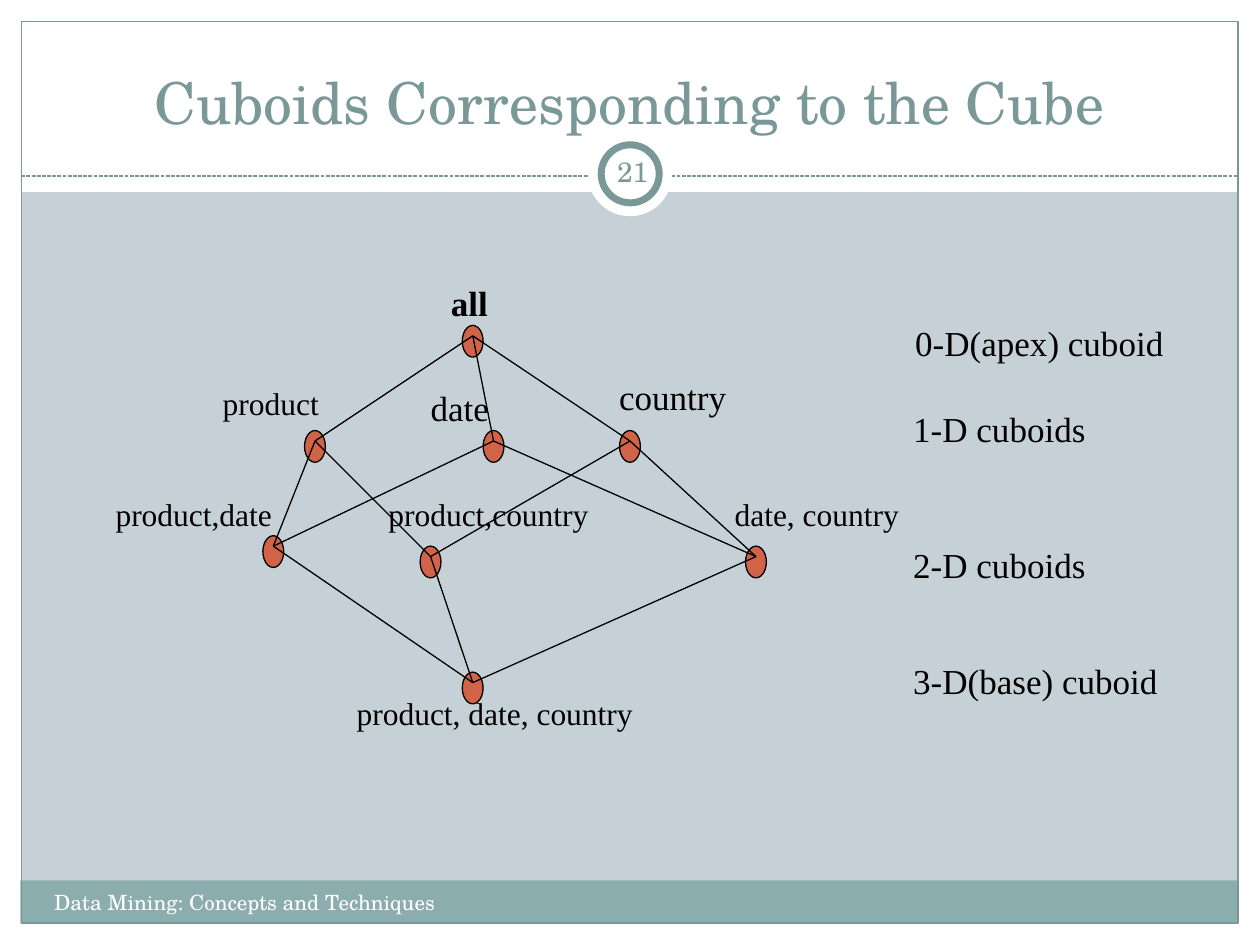
from pptx import Presentation
from pptx.dml.color import RGBColor
from pptx.enum.dml import MSO_LINE
from pptx.enum.shapes import MSO_CONNECTOR as Conn, MSO_SHAPE as Kind
from pptx.enum.text import MSO_ANCHOR as Anchor, MSO_AUTO_SIZE as Auto, PP_ALIGN as Align
from pptx.oxml.ns import qn
from pptx.util import Cm, Pt
from lxml.etree import SubElement

BACK = RGBColor(0xC5, 0xD1, 0xD7)
WHITE = RGBColor(0xFF, 0xFF, 0xFF)
TEAL = RGBColor(0x7B, 0x98, 0x99)
BAND = RGBColor(0x8C, 0xAD, 0xAE)
RUST = RGBColor(0xD1, 0x63, 0x49)
BLACK = RGBColor(0, 0, 0)

HEAD = "TeX Gyre Schola"
BODY = "Times New Roman"

# Each cuboid: its dimensions and the point where its edges meet (cm)
NODES = [
    ((), 9.53, 6.77),
    (("product",), 6.35, 8.89),
    (("date",), 9.95, 8.89),
    (("country",), 12.7, 8.89),
    (("product", "date"), 5.51, 11.01),
    (("date", "country"), 15.24, 11.22),
    (("product", "country"), 8.68, 11.22),
    (("product", "date", "country"), 9.53, 13.76),
]

# Text, left, top, width (cm), size (pt)
LABELS = [
    ("product", 4.24, 7.62, 2.48, 18),
    ("date", 8.43, 7.67, 1.72, 20),
    ("country", 12.23, 7.44, 2.71, 20),
    ("product,date", 2.08, 9.86, 3.7, 18),
    ("product,country", 7.58, 9.86, 4.59, 18),
    ("date, country", 14.56, 9.86, 3.87, 18),
    ("product, date, country", 6.94, 13.87, 6.13, 18),
    ("0-D(apex) cuboid", 18.2, 6.35, 5.55, 20),
    ("1-D cuboids", 18.16, 8.09, 4.03, 20),
    ("2-D cuboids", 18.16, 10.84, 4.03, 20),
    ("3-D(base) cuboid", 18.16, 13.17, 5.48, 20),
]


def style(font, color, **form):
    for key, value in form.items():
        setattr(font, key, value)
    font.color.rgb = color


def shape(slide, kind, box, fill=None, line=None, width=0.75):
    item = slide.shapes.add_shape(kind, *map(Cm, box))
    item.shadow.inherit = False
    if fill is None:
        item.fill.background()
    else:
        item.fill.solid()
        item.fill.fore_color.rgb = fill
    if line is None:
        item.line.fill.background()
    else:
        item.line.color.rgb = line
        item.line.width = Pt(width)


def line(slide, start, end, color, dash=None):
    item = slide.shapes.add_connector(Conn.STRAIGHT, *map(Cm, (*start, *end)))
    item.line.color.rgb = color
    item.line.width = Pt(0.75)
    if dash:
        item.line.dash_style = dash
    SubElement(item.element.spPr, qn("a:effectLst"))


def label(slide, text, box, size, color=BLACK, name=BODY, bold=False, wrap=False):
    frame = slide.shapes.add_textbox(*map(Cm, box)).text_frame
    frame.word_wrap = wrap
    frame.auto_size = Auto.NONE if wrap else Auto.SHAPE_TO_FIT_TEXT
    para = frame.paragraphs[0]
    para.text = text
    style(para.font, color, name=name, size=Pt(size), bold=bold)
    return frame


def margins(frame, side):
    for edge in ("left", "right", "top", "bottom"):
        setattr(frame, f"margin_{edge}", Cm(side))


def frame_page(slide):
    # White margins, footer band and border
    for box in ((0, 18.62, 25.4, 0.43), (0, 0, 25.4, 3.87),
                (0, 0, 0.43, 19.05), (24.97, 0, 0.43, 19.05)):
        shape(slide, Kind.RECTANGLE, box, WHITE)
    shape(slide, Kind.RECTANGLE, (0.41, 17.75, 24.54, 0.86), BAND)
    shape(slide, Kind.RECTANGLE, (0.43, 0.43, 24.53, 18.18), line=TEAL)

    # Dashed rule and number ring
    line(slide, (0.43, 3.55), (24.96, 3.55), TEAL, MSO_LINE.SQUARE_DOT)
    shape(slide, Kind.OVAL, (11.85, 2.66, 1.7, 1.7), WHITE)
    shape(slide, Kind.OVAL, (12.12, 2.92, 1.17, 1.17), WHITE, TEAL, 4)


def add_title(slide, text):
    title = slide.shapes.title
    place = dict(left=0.84, top=0.64, width=23.7, height=2.11)
    for key, value in place.items():
        setattr(title, key, Cm(value))
    frame = title.text_frame
    frame.text = text
    frame.auto_size = Auto.NONE
    frame.vertical_anchor = Anchor.BOTTOM
    margins(frame, 0)
    para = frame.paragraphs[0]
    para.alignment = Align.CENTER
    style(para.font, TEAL, name=HEAD, size=Pt(33))

    # Bring the title in front of the white margins
    title.element.getparent().append(title.element)


def lattice(slide):
    for _, x, y in NODES:
        shape(slide, Kind.FLOWCHART_CONNECTOR, (x - 0.21, y - 0.21, 0.42, 0.64),
              RUST, BLACK)

    # An edge joins each cuboid to those with one more dimension
    for dims, *start in NODES:
        for more, *end in NODES:
            if len(more) == len(dims) + 1 and set(dims) < set(more):
                line(slide, start, end, BLACK)

    label(slide, "all", (8.84, 5.55, 1.32, 1.12), 20, bold=True)
    for text, x, y, width, size in LABELS:
        label(slide, text, (x, y, width, size * 0.056), size)


def main():
    deck = Presentation()
    deck.slide_width, deck.slide_height = Cm(25.4), Cm(19.05)
    slide = deck.slides.add_slide(deck.slide_layouts[5])
    slide.background.fill.solid()
    slide.background.fill.fore_color.rgb = BACK

    frame_page(slide)
    add_title(slide, "Cuboids Corresponding to the Cube")

    # Footer and slide number
    label(slide, "Data Mining: Concepts and Techniques", (0.84, 17.81, 9.96, 1.02),
          12, WHITE, HEAD, wrap=True)
    number = label(slide, "21", (12.12, 2.85, 1.27, 1.22), 16, TEAL, HEAD, wrap=True)
    margins(number, 0.13)
    number.vertical_anchor = Anchor.MIDDLE
    number.paragraphs[0].alignment = Align.CENTER

    lattice(slide)
    deck.save("out.pptx")


if __name__ == "__main__":
    main()
